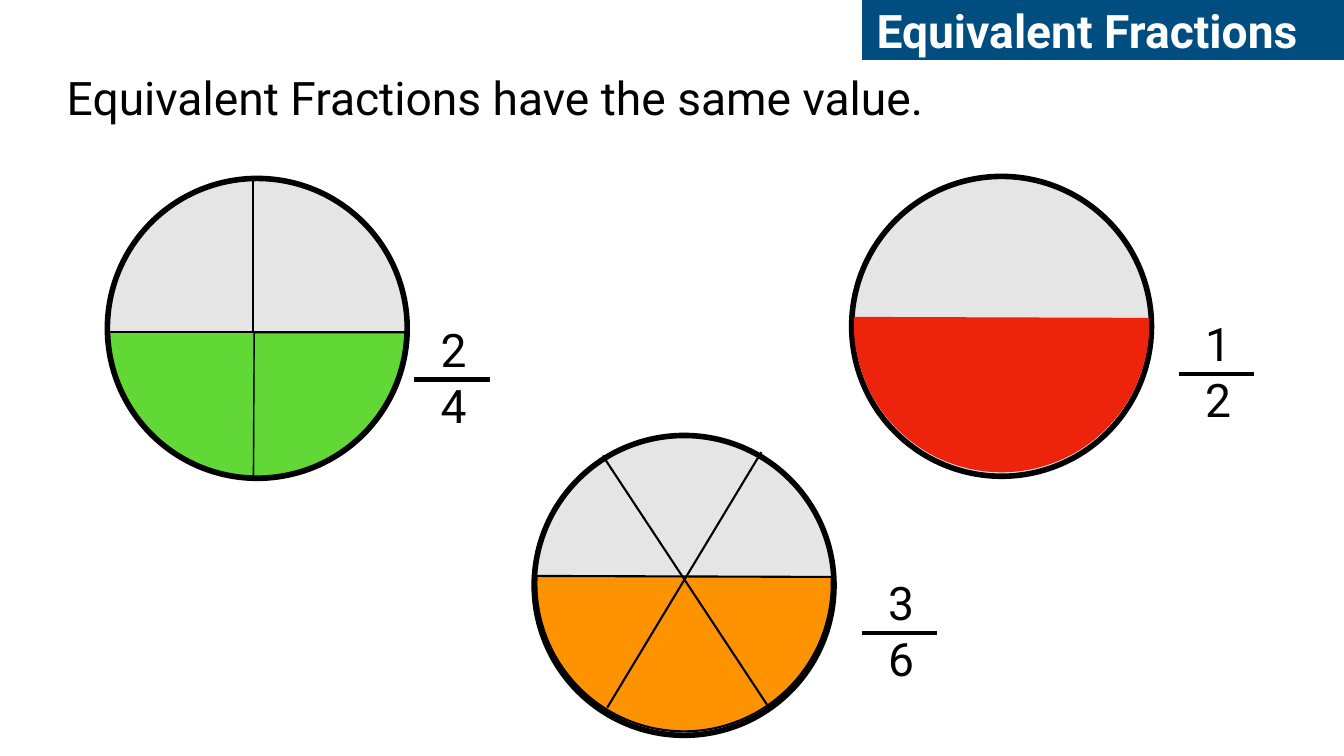
"""Build the Equivalent Fractions slide with three divided discs."""
import math

import pptx
import pptx.dml.color
import pptx.enum.shapes
import pptx.enum.text
import pptx.oxml
import pptx.oxml.ns
import pptx.util

Pt = pptx.util.Pt
SHAPES = pptx.enum.shapes.MSO_SHAPE
ALIGN = pptx.enum.text.PP_ALIGN
NAMESPACE = pptx.oxml.ns.nsdecls("a")

BLACK, WHITE, NAVY = "000000", "FFFFFF", "004D80"
RED, GREEN, ORANGE = "EE230C", "61D836", "FE9301"
DISC_RADIUS, SLICE_RADIUS, CURVE_SPAN = 214.2, 211, 47
BAR_LENGTH, NUMERAL_SIZE = 108, (45.4, 85)

STATEMENT = ("Equivalent Fractions have the same value.", (91.4, 95.8, 1272.2, 86.4))
HEADING = (" Equivalent Fractions", (1231.9, -0.7, 688.3, 86.4))
FRACTIONS = [
    {"center": (1431, 466.2), "lift": 2.5, "bar": (1684.1, 534.2), "numerals": ("1", "2"),
     "parts": [("slice", RED, 0, (-2.6, 183), None)]},
    {"center": (367.6, 469.1), "lift": 0, "bar": (591.8, 542.2), "numerals": ("2", "4"),
     "parts": [("slice", GREEN, 2, (1.7, 91.5), (362.1, 475.2)),
               ("cut", (362.1, 687.6), (362.1, 251.3)),
               ("slice", GREEN, 2, (91.5, 178.5), (363.2, 474.5)),
               ("cut", (150.5, 474.5), (583.9, 474.5))]},
    {"center": (977.4, 836.3), "lift": 2.5, "bar": (1231.2, 904.3), "numerals": ("3", "6"),
     "parts": [("slice", ORANGE, 3, (-2.6, 183), None),
               ("cut", (867.6, 1010.9), (1087.9, 645.8)),
               ("cut", (1095.8, 1006.6), (861.1, 650.9))]},
]


def color(value):
    return pptx.dml.color.RGBColor.from_string(value)


def paint(shape, fill, line_width=0):
    shape.shadow.inherit = False
    shape.fill.solid()
    shape.fill.fore_color.rgb = color(fill)
    if line_width:
        shape.line.color.rgb = color(BLACK)
        shape.line.width = Pt(line_width)
    else:
        shape.line.fill.background()


def write(shape, text, ink=BLACK, bold=False, align=ALIGN.LEFT, inset=4):
    frame = shape.text_frame
    layout = {"word_wrap": True, "vertical_anchor": pptx.enum.text.MSO_ANCHOR.MIDDLE,
              "margin_left": Pt(inset), "margin_right": Pt(inset),
              "margin_top": Pt(4), "margin_bottom": Pt(4)}
    for name, value in layout.items():
        setattr(frame, name, value)
    paragraph = frame.paragraphs[0]
    paragraph.alignment = align
    run = paragraph.add_run()
    run.text = text
    for name, value in {"name": "Roboto", "size": Pt(66), "bold": bold}.items():
        setattr(run.font, name, value)
    run.font.color.rgb = color(ink)


def add_line(shapes, start, end, width):
    line = shapes.add_connector(pptx.enum.shapes.MSO_CONNECTOR.STRAIGHT,
                                *map(Pt, start + end))
    line.line.color.rgb = color(BLACK)
    line.line.width = Pt(width)
    line._element.spPr.append(pptx.oxml.parse_xml(f"<a:effectLst {NAMESPACE}/>"))


def add_disc(shapes, center):
    x, y = center
    disc = shapes.add_shape(SHAPES.OVAL, Pt(x - DISC_RADIUS), Pt(y - DISC_RADIUS),
                            Pt(2 * DISC_RADIUS), Pt(2 * DISC_RADIUS))
    paint(disc, BLACK, 8)
    tint = disc._element.spPr.find(".//" + pptx.oxml.ns.qn("a:srgbClr"))
    tint.append(pptx.oxml.parse_xml(f"<a:alpha {NAMESPACE} val='10000'/>"))


def add_slice(shapes, center, fill, line_width, angles, corner):
    first, last = map(math.radians, angles)
    count = math.ceil((angles[1] - angles[0]) / CURVE_SPAN)
    step = (last - first) / count
    reach = 4 / 3 * math.tan(step / 4)

    def on_arc(turn, pull=0):
        across = math.cos(turn) - pull * math.sin(turn)
        down = math.sin(turn) + pull * math.cos(turn)
        return Pt(center[0] + SLICE_RADIUS * across), Pt(center[1] + SLICE_RADIUS * down)

    turns = [first + step * i for i in range(count + 1)]
    outline = [on_arc(turn) for turn in turns]
    if corner:
        outline.insert(0, tuple(map(Pt, corner)))
    builder = shapes.build_freeform(*outline[0], scale=1.0)
    builder.add_line_segments(outline[1:], close=False)
    piece = builder.convert_to_shape()
    edges = piece._element.spPr.findall(".//" + pptx.oxml.ns.qn("a:lnTo"))
    for edge, start, end in zip(edges[-count:], turns, turns[1:]):
        handles = (on_arc(start, reach), on_arc(end, -reach), on_arc(end))
        marks = "".join(f"<a:pt x='{x - piece.left}' y='{y - piece.top}'/>"
                        for x, y in handles)
        curve = pptx.oxml.parse_xml(f"<a:cubicBezTo {NAMESPACE}>{marks}</a:cubicBezTo>")
        edge.getparent().replace(edge, curve)
    curve.addnext(pptx.oxml.parse_xml(f"<a:close {NAMESPACE}/>"))
    paint(piece, fill, line_width)


def add_fraction(shapes, bar, numerals):
    x, y = bar
    width, height = NUMERAL_SIZE
    left = x + (BAR_LENGTH - width) / 2 + 2.2
    for numeral, top in zip(numerals, (y - 86.8, y - 6.5)):
        box = shapes.add_textbox(*map(Pt, (left, top, width, height)))
        write(box, numeral, align=ALIGN.CENTER, inset=0)
    add_line(shapes, bar, (x + BAR_LENGTH, y), 6)


def main():
    deck = pptx.Presentation()
    deck.slide_width, deck.slide_height = Pt(1920.24), Pt(1080)
    shapes = deck.slides.add_slide(deck.slide_layouts[6]).shapes

    text, place = STATEMENT
    write(shapes.add_textbox(*map(Pt, place)), text)

    for fraction in FRACTIONS:
        x, y = fraction["center"]
        add_disc(shapes, (x, y))
        for kind, *details in fraction["parts"]:
            if kind == "slice":
                add_slice(shapes, (x, y - fraction["lift"]), *details)
            else:
                add_line(shapes, *details, 3)
        add_fraction(shapes, fraction["bar"], fraction["numerals"])

    text, place = HEADING
    banner = shapes.add_shape(SHAPES.RECTANGLE, *map(Pt, place))
    paint(banner, NAVY)
    write(banner, text, WHITE, bold=True)
    deck.save("out.pptx")


if __name__ == "__main__":
    main()
